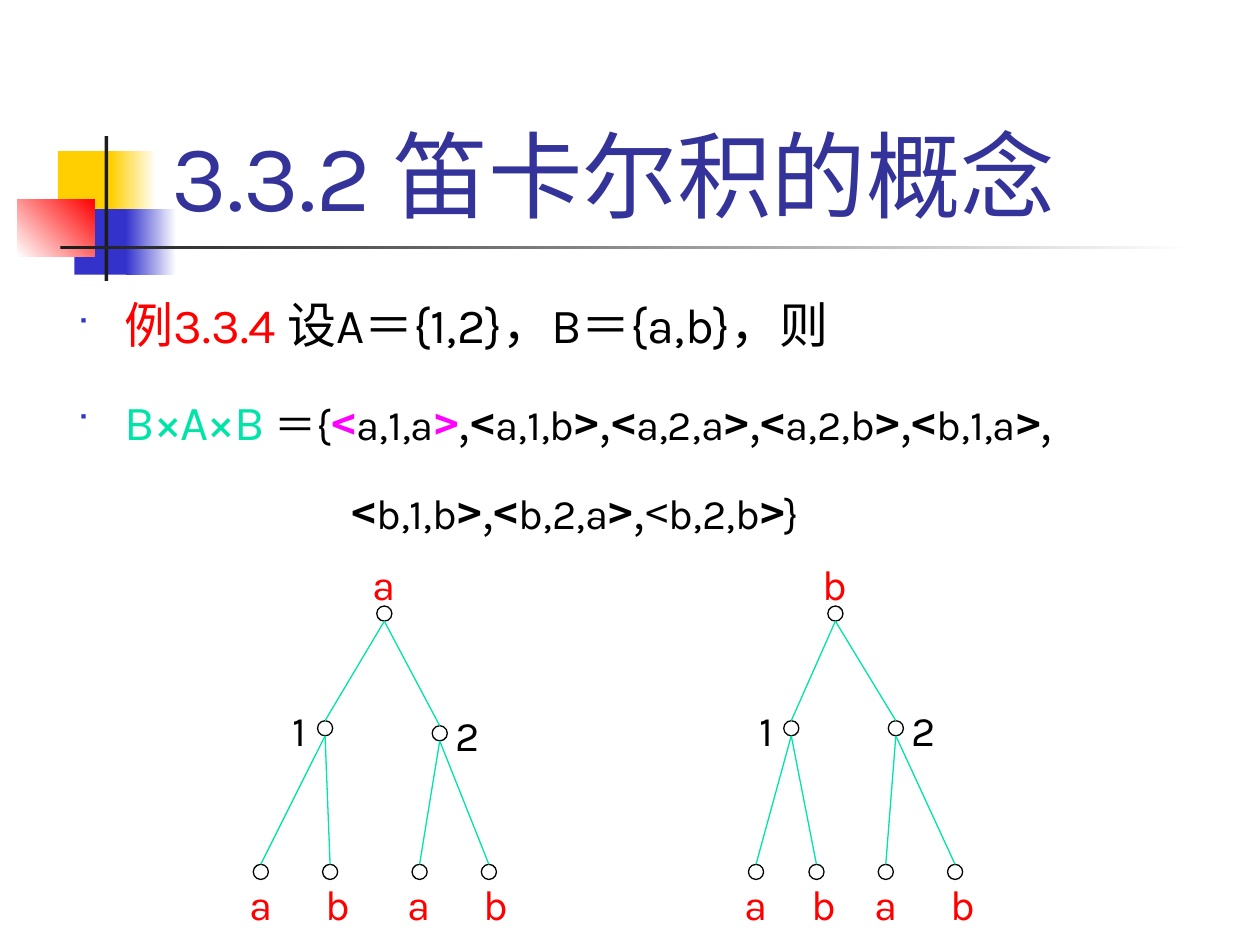
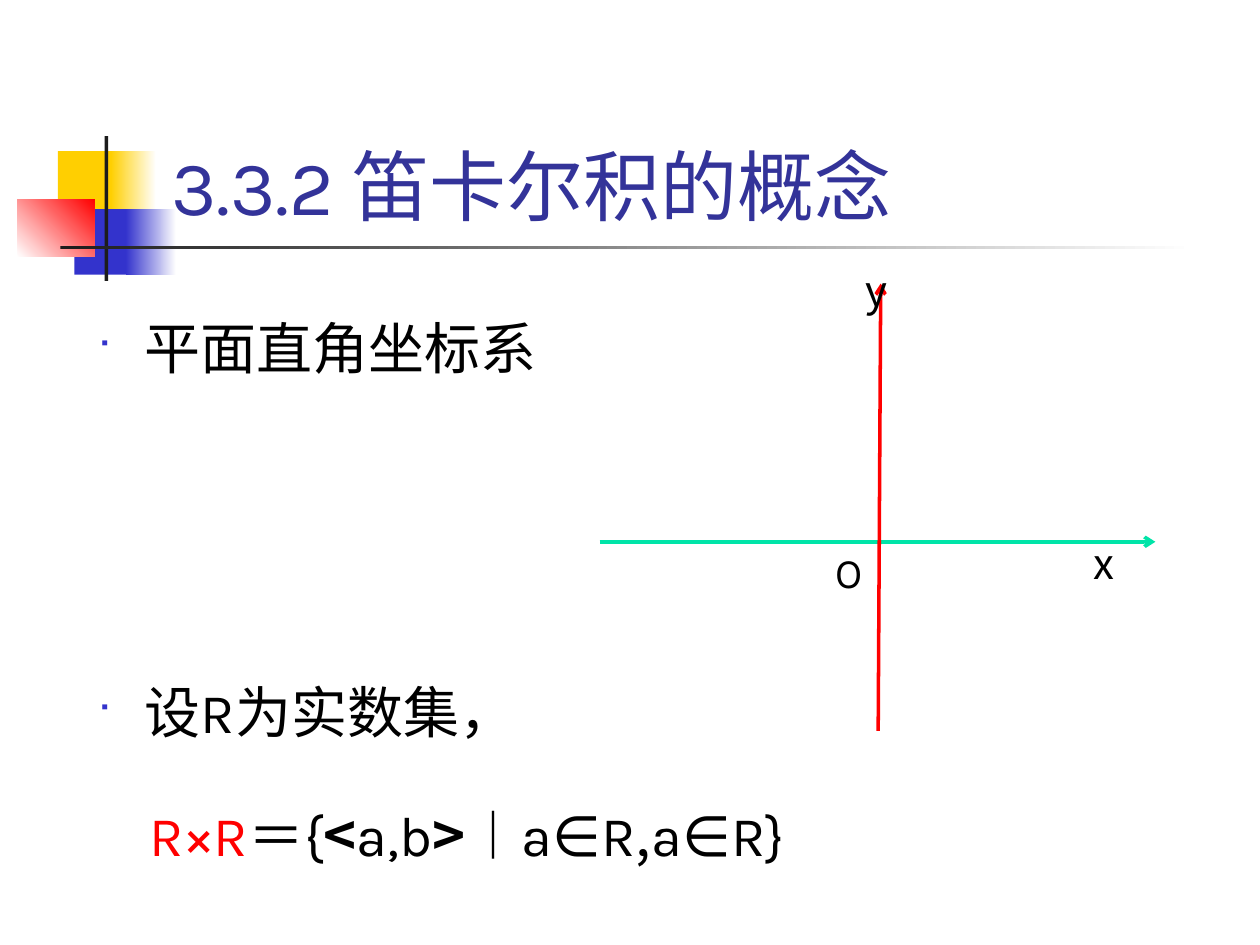
from itertools import product

from lxml.etree import SubElement
from pptx import Presentation
from pptx.dml.color import RGBColor
from pptx.enum.lang import MSO_LANGUAGE_ID
from pptx.enum.shapes import MSO_CONNECTOR, MSO_SHAPE
from pptx.enum.text import MSO_ANCHOR, MSO_AUTO_SIZE, PP_ALIGN
from pptx.oxml.ns import qn
from pptx.util import Inches, Pt

LATIN, HAN = "Karla", "Noto Sans CJK SC"
BLACK, WHITE, RED, GREEN = "000000", "FFFFFF", "FF0000", "00E4A8"
NAVY, BLUE, GOLD, INK, PINK = "333399", "3333CC", "FFCF01", "1C1C1C", "FF00FF"
COLS, ROWS = 10, 7.5
DOT = 0.06
TITLE = "3.3.2 笛卡尔积的概念"
BLOCKS = [
    ((0.46, 1.2, 0.48, 0.52), (GOLD,), 0),
    ((0.88, 1.2, 0.36, 0.52), (GOLD, WHITE), 0),
    ((0.59, 1.66, 0.46, 0.52), (BLUE,), 0),
    ((1, 1.66, 0.4, 0.52), (BLUE, WHITE), 0),
    ((0.14, 1.58, 0.61, 0.46), (WHITE, RED), 45),
    ((0.83, 1.08, 0.03, 1.15), (INK,), 0),
    ((0.48, 1.95, 9, 0.03), (INK, WHITE), 0),
]
TREES = [
    ("a", (3.05, 4.87), [(2.58, 5.78), (3.49, 5.82)], [2.07, 2.62, 3.33, 3.88]),
    ("b", (6.63, 4.87), [(6.28, 5.78), (7.11, 5.78)], [6, 6.48, 7.03, 7.58]),
]


def cells(*nums):
    """Turn grid columns and rows, one inch each, into lengths."""
    return [Inches(num) for num in nums]


def tint(code):
    """Turn a hex string into a colour."""
    return RGBColor.from_string(code)


def style(run, size, hue=BLACK, face=LATIN, bold=False):
    """Format one run of text."""
    font = run.font
    font.size, font.name, font.bold = Pt(size), face, bold
    font.color.rgb = tint(hue)
    font.language_id = MSO_LANGUAGE_ID.SIMPLIFIED_CHINESE
    SubElement(run._r.get_or_add_rPr(), qn("a:ea"), typeface=face)


def block(slide, box, hues, angle):
    """Draw a rectangle with a plain or a two-colour fill."""
    shape = slide.shapes.add_shape(MSO_SHAPE.RECTANGLE, *cells(*box))
    shape.shadow.inherit = False
    shape.line.fill.background()
    if len(hues) == 1:
        shape.fill.solid()
        shape.fill.fore_color.rgb = tint(hues[0])
    else:
        shape.fill.gradient()
        shape.fill.gradient_angle = angle
        for stop, hue in zip(shape.fill.gradient_stops, hues):
            stop.color.rgb = tint(hue)
    return shape


def dress(slide, layout):
    """Put the corner blocks and rules on the shared layout."""
    for item in BLOCKS:
        layout.shapes.element.append(block(slide, *item).element)


def place(holder, box):
    """Move a placeholder and stop it from shrinking its text."""
    holder.left, holder.top, holder.width, holder.height = cells(*box)
    frame = holder.text_frame
    frame.word_wrap, frame.auto_size = True, MSO_AUTO_SIZE.NONE
    return frame


def head(slide, size):
    """Fill the title."""
    frame = place(slide.shapes.title, (1.26, 0.23, 8.52, 1.6))
    frame.vertical_anchor, frame.margin_bottom = MSO_ANCHOR.BOTTOM, 0
    frame.text = TITLE
    para = frame.paragraphs[0]
    para.alignment = PP_ALIGN.LEFT
    style(para.runs[0], size, NAVY)


def mark(para, indent, bullet):
    """Set the indent and the square bullet, or no bullet."""
    props = para._p.get_or_add_pPr()
    props.set("marL", str(Inches(indent)))
    props.set("indent", str(Inches(-indent if bullet else 0)))
    if not bullet:
        SubElement(props, qn("a:buNone"))
        return
    SubElement(SubElement(props, qn("a:buClr")), qn("a:srgbClr"), val=BLUE)
    SubElement(props, qn("a:buSzPct"), val="60000")
    SubElement(props, qn("a:buFont"), typeface="Wingdings")
    SubElement(props, qn("a:buChar"), char="■")


def body(slide, box, items):
    """Fill the body with lines of (indent, bullet, gap, height, runs)."""
    frame = place(slide.placeholders[1], box)
    for num, (indent, bullet, gap, high, runs) in enumerate(items):
        para = frame.add_paragraph() if num else frame.paragraphs[0]
        para.alignment = PP_ALIGN.LEFT
        para.space_before, para.line_spacing = Pt(gap), Pt(high)
        mark(para, indent, bullet)
        for text, *look in runs:
            run = para.add_run()
            run.text = text
            style(run, *look)


def tuple_runs(text, size=24, hue=BLACK, end=",", bold=True):
    """List the runs of one ordered tuple and the sign after it."""
    return [("<", size, hue, HAN, bold), (text, size), (">", size, hue, HAN, True),
            (end, size, BLACK, HAN if end == "," else LATIN)]


def label(slide, text, mid, top, hue=BLACK, face=LATIN):
    """Write a letter centred on a column."""
    box = slide.shapes.add_textbox(*cells(mid - 0.2, top, 0.4, 0.5))
    frame = box.text_frame
    frame.word_wrap = True
    frame.margin_left = frame.margin_right = 0
    frame.text = text
    para = frame.paragraphs[0]
    para.alignment = PP_ALIGN.CENTER
    style(para.runs[0], 24, hue, face)


def line(slide, start, end, hue, width, arrow=False):
    """Draw a straight line, with an arrowhead if asked."""
    link = slide.shapes.add_connector(MSO_CONNECTOR.STRAIGHT, *cells(*start, *end))
    link.line.color.rgb, link.line.width = tint(hue), Pt(width)
    if arrow:
        SubElement(link.line._get_or_add_ln(), qn("a:tailEnd"), type="arrow")
    SubElement(link.element.spPr, qn("a:effectLst"))


def node(slide, spot):
    """Draw a small hollow circle around a point."""
    col, row = spot
    shape = slide.shapes.add_shape(
        MSO_SHAPE.OVAL, *cells(col - DOT, row - DOT, 2 * DOT, 2 * DOT))
    shape.shadow.inherit = False
    shape.fill.background()
    shape.line.color.rgb, shape.line.width = tint(BLACK), Pt(0.75)


def edge(slide, upper, lower):
    """Join the foot of one node to the top of another."""
    line(slide, (upper[0], upper[1] + DOT), (lower[0], lower[1] - DOT), GREEN, 0.75)


def tree(slide, name, root, mids, cols):
    """Draw a two-level binary tree with its labels."""
    leaves = [(col, 6.92) for col in cols]
    for spot in [root, *mids, *leaves]:
        node(slide, spot)
    for mid in mids:
        edge(slide, root, mid)
    for (mid, _), leaf in zip(product(mids, "ab"), leaves):
        edge(slide, mid, leaf)
    label(slide, name, root[0], root[1] - 0.49, RED)
    for text, (col, row), shift in zip("12", mids, (-0.2, 0.22)):
        label(slide, text, col + shift, row - 0.24)
    for text, (col, row) in zip("abab", leaves):
        label(slide, text, col + (DOT if text == "b" else 0), row, RED)


def product_slide(slide):
    """Build the triple product example."""
    head(slide, 54)
    first = tuple_runs("a,1,a", hue=PINK)
    for text in ("a,1,b", "a,2,a", "a,2,b", "b,1,a"):
        first += tuple_runs(text)
    rest = tuple_runs("b,1,b") + tuple_runs("b,2,a")
    rest += tuple_runs("b,2,b", end="}", bold=False)
    body(slide, (0.51, 2.02, 9.33, 5.48), [
        (0.38, True, 0, 53, [("例3.3.4 ", 28, RED), ("设A＝{1,2}，B＝{a,b}，则", 28)]),
        (0.38, True, 6, 49, [("B×A×B", 28, GREEN), (" ＝{", 24), *first]),
        (2.18, False, 6, 44, rest),
    ])
    for item in TREES:
        tree(slide, *item)


def plane_slide(slide):
    """Build the coordinate plane example."""
    head(slide, 44)
    body(slide, (0.67, 2.1, 9.12, 5.4), [
        (0.38, True, 0, 63, [("平面直角坐标系", 32)]),
        (0.38, True, 148, 60, [("设R为实数集，", 32)]),
        (0.42, False, 8, 62, [("R×R", 32, RED), ("＝{", 32),
                              *tuple_runs("a,b", 32, end="︱a∈R"),
                              (",", 32, BLACK, HAN), ("a∈R}", 32)]),
    ])
    line(slide, (4.76, 4.3), (9.17, 4.3), GREEN, 2, True)
    line(slide, (6.97, 5.8), (6.99, 2.25), RED, 2, True)
    label(slide, "O", 6.74, 4.29)
    label(slide, "x", 8.76, 4.22, face=HAN)
    label(slide, "y", 6.96, 2.05, face=HAN)


def main():
    """Build and save both slides."""
    deck = Presentation()
    deck.slide_width, deck.slide_height = cells(COLS, ROWS)
    layout = deck.slide_layouts[1]
    slides = [deck.slides.add_slide(layout) for _ in range(2)]
    dress(slides[0], layout)
    product_slide(slides[0])
    plane_slide(slides[1])
    deck.save("out.pptx")


if __name__ == "__main__":
    main()
